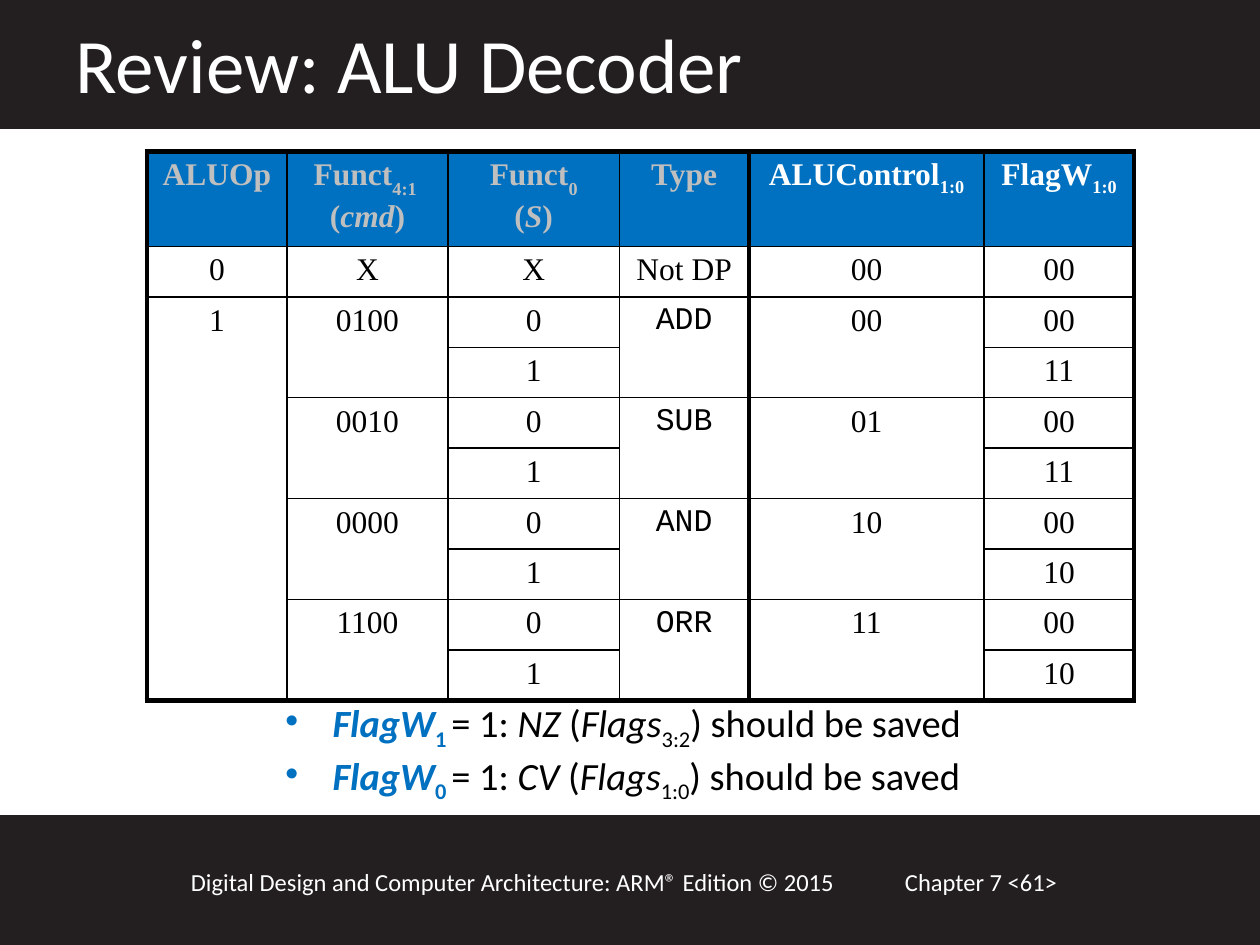
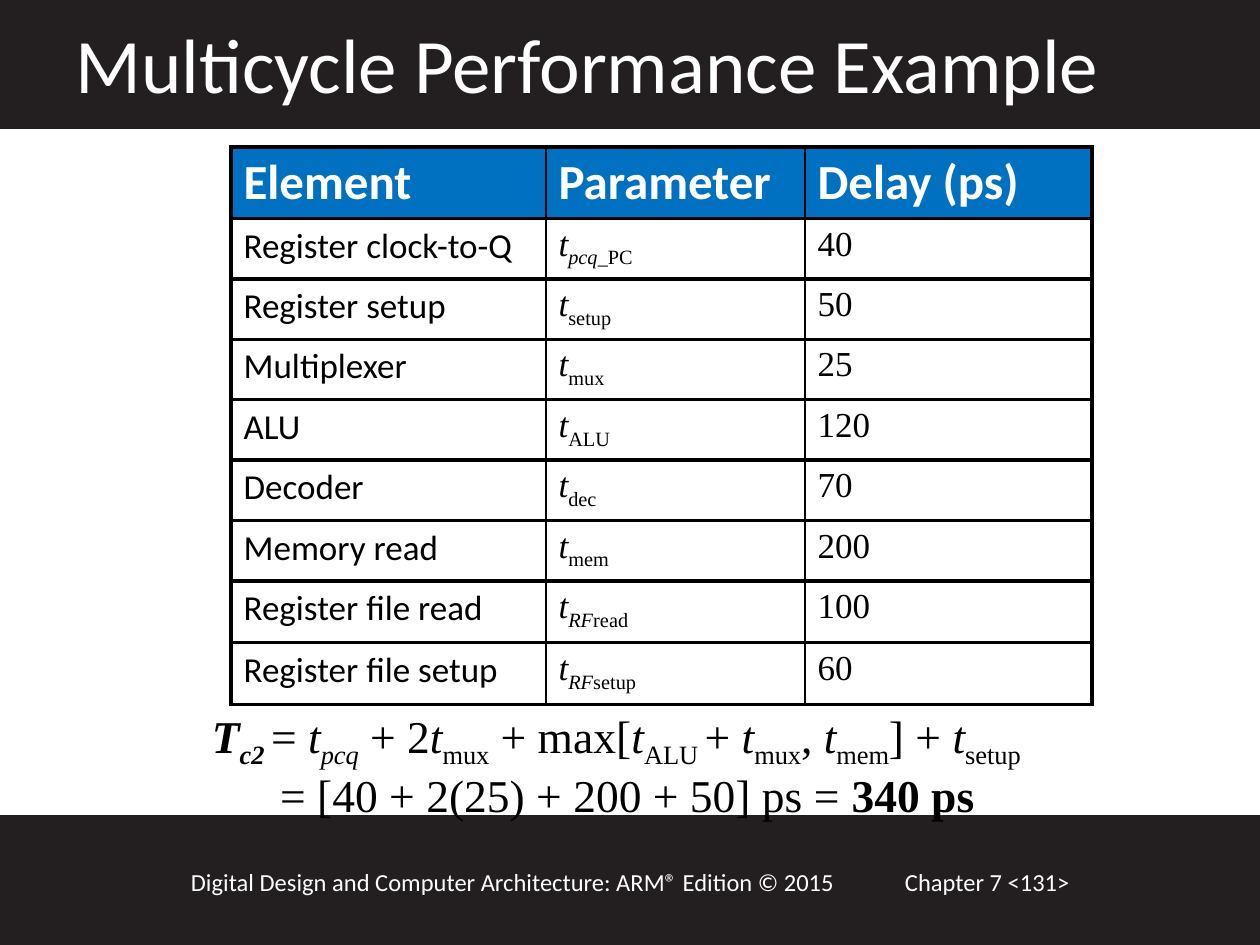
"""Build two lecture slides: the ALU decoder table and the multicycle delay table."""
from dataclasses import dataclass, replace
from typing import Optional

import lxml.etree
import pptx
import pptx.dml.color
import pptx.enum.shapes
import pptx.enum.text
import pptx.oxml.ns
import pptx.util

Pt = pptx.util.Pt
RGB = pptx.dml.color.RGBColor
qn = pptx.oxml.ns.qn
CENTER = pptx.enum.text.PP_ALIGN.CENTER

WHITE = RGB(0xFF, 0xFF, 0xFF)
BLACK = RGB(0, 0, 0)
DARK = RGB(0x23, 0x1F, 0x20)
BLUE = RGB(0, 0x70, 0xC0)
GREY = RGB(0xBF, 0xBF, 0xBF)
DROPS = {"s": "-25000", "d": "-30000"}


@dataclass(frozen=True)
class Style:
    font: str
    size: float
    color: RGB = BLACK
    bold: bool = False


@dataclass(frozen=True)
class Run:
    """Text whose look holds b (bold), i (italic), s or d (subscript)."""
    text: str
    look: str = ""
    color: Optional[RGB] = None


@dataclass(frozen=True)
class Para:
    runs: tuple[Run, ...]
    style: Style
    center: bool = False
    left: float = 0
    hang: float = 0
    bullet: bool = False
    before: float = 0
    pitch: Optional[float] = None


@dataclass(frozen=True)
class Box:
    left: float
    top: float
    width: float
    height: float


@dataclass(frozen=True)
class Grid:
    """A table; the numbered edges in cols_bold and rows_bold are thick."""
    left: float
    top: float
    widths: list[float]
    heights: list[float]
    cells: list[list[Optional[list[Para]]]]
    thick: float
    cols_bold: set[int]
    rows_bold: set[int]


TITLE = Style("Calibri", 44, WHITE)
FOOT = Style("Calibri", 14, WHITE)
NOTE = Style("Calibri", 22)
MATH = Style("Times New Roman", 26)
BODY = Style("Times New Roman", 18)
CODE = Style("Courier New", 18)
LABEL = Style("Calibri", 20)
VALUE = Style("Times New Roman", 20)
HEAD = Style("Calibri", 28, WHITE, True)
GIVEN = Style("Times New Roman", 18, GREY, True)
RESULT = replace(GIVEN, color=WHITE)

BANDS = [Box(0, 466.5, 720, 73), Box(0, 0, 720, 73)]
BOOK = "Digital Design and Computer Architecture: ARM® Edition © 2015"


def plain(text: str, style: Style, center: bool = False) -> Para:
    return Para((Run(text),), style, center)


def term(name: str, sub: str, look: str = "s") -> tuple[Run, Run]:
    return Run(name, "i"), Run(sub, look)


def write(frame, paras: list[Para]) -> None:
    frame.word_wrap = True
    for num, para in enumerate(paras):
        item = frame.add_paragraph() if num else frame.paragraphs[0]
        props = item._p.get_or_add_pPr()
        if para.left:
            props.set("marL", str(Pt(para.left)))
            props.set("indent", str(-Pt(para.hang)))
        if para.bullet:
            lxml.etree.SubElement(props, qn("a:buChar")).set("char", "•")
        if para.center:
            item.alignment = CENTER
        if para.before:
            item.space_before = Pt(para.before)
        if para.pitch:
            item.line_spacing = para.pitch
        for part in para.runs:
            run = item.add_run()
            run.text = part.text
            run.font.name = para.style.font
            run.font.size = Pt(para.style.size)
            run.font.color.rgb = part.color or para.style.color
            run.font.bold = para.style.bold or "b" in part.look
            run.font.italic = "i" in part.look
            for mark, drop in DROPS.items():
                if mark in part.look:
                    run._r.get_or_add_rPr().set("baseline", drop)


def add_text(slide, box: Box, paras: list[Para], inset: float = 3.6) -> None:
    shape = slide.shapes.add_textbox(
        Pt(box.left), Pt(box.top), Pt(box.width), Pt(box.height))
    shape.text_frame.margin_top = Pt(inset)
    write(shape.text_frame, paras)


def add_band(slide, box: Box) -> None:
    band = slide.shapes.add_shape(
        pptx.enum.shapes.MSO_SHAPE.RECTANGLE,
        Pt(box.left), Pt(box.top), Pt(box.width), Pt(box.height))
    band.shadow.inherit = False
    band.fill.solid()
    band.fill.fore_color.rgb = DARK
    band.line.color.rgb = DARK
    band.line.width = Pt(2)


def add_edge(cell, side: str, width: float) -> None:
    edge = lxml.etree.SubElement(
        cell._tc.get_or_add_tcPr(), qn(f"a:ln{side}"))
    edge.set("w", str(Pt(width)))
    fill = lxml.etree.SubElement(edge, qn("a:solidFill"))
    lxml.etree.SubElement(fill, qn("a:srgbClr")).set("val", str(BLACK))


def add_grid(slide, grid: Grid) -> None:
    rows, cols = len(grid.heights), len(grid.widths)
    table = slide.shapes.add_table(
        rows, cols, Pt(grid.left), Pt(grid.top),
        Pt(sum(grid.widths)), Pt(sum(grid.heights))).table
    table.first_row = table.horz_banding = False
    for col, width in zip(table.columns, grid.widths):
        col.width = Pt(width)
    for row, height in zip(table.rows, grid.heights):
        row.height = Pt(height)
    for y, line in enumerate(grid.cells):
        for x, paras in enumerate(line):
            if paras is None:
                continue
            end = y + 1
            while end < rows and grid.cells[end][x] is None:
                end += 1
            cell = table.cell(y, x)
            if end > y + 1:
                cell.merge(table.cell(end - 1, x))
            edges = [("L", x in grid.cols_bold), ("R", x + 1 in grid.cols_bold),
                     ("T", y in grid.rows_bold), ("B", end in grid.rows_bold)]
            for side, bold in edges:
                add_edge(cell, side, grid.thick if bold else 1)
            if y == 0:
                cell.fill.solid()
                cell.fill.fore_color.rgb = BLUE
            else:
                cell.fill.background()
            write(cell.text_frame, paras)


def add_page(deck, title: str, page: int):
    slide = deck.slides.add_slide(deck.slide_layouts[6])
    for band in BANDS:
        add_band(slide, band)
    add_text(slide, Box(510, 492, 156, 24.5),
             [plain(f"Chapter 7 <{page}>", FOOT)])
    add_text(slide, Box(102, 492, 414, 24.5), [plain(BOOK, FOOT)])
    add_text(slide, Box(36, 6, 624, 60.5), [plain(title, TITLE)])
    return slide


def funct(bits: str, field: str) -> list[Para]:
    return [Para((Run("Funct"), Run(bits, "d")), GIVEN, True),
            Para((Run("("), Run(field, "i"), Run(")")), GIVEN, True)]


def output(name: str) -> list[Para]:
    return [Para((Run(name), Run("1:0", "s")), RESULT, True)]


def mid(text: str, style: Style = BODY) -> list[Para]:
    return [plain(text, style, True)]


def flag_note(bit: str, pair: str, bits: str) -> Para:
    runs = (Run("FlagW", "bi", BLUE), Run(f"{bit} ", "bs", BLUE),
            Run("= 1: "), Run(pair, "i"), Run(" ("),
            *term("Flags", bits), Run(") should be saved"))
    return Para(runs, NOTE, left=63, hang=27, bullet=True)


def draw_alu(deck) -> None:
    slide = add_page(deck, "Review: ALU Decoder", 61)
    cells = [
        [mid("ALUOp", GIVEN), funct("4:1 ", "cmd"), funct("0", "S"),
         mid("Type", GIVEN), output("ALUControl"), output("FlagW")],
        [mid(text) for text in ("0", "X", "X", "Not DP", "00", "00")],
    ]
    codes = [("0100", "ADD", "00", "11"), ("0010", "SUB", "01", "11"),
             ("0000", "AND", "10", "10"), ("1100", "ORR", "11", "10")]
    for num, (cmd, kind, control, flags) in enumerate(codes):
        cells.append([None if num else mid("1"), mid(cmd), mid("0"),
                      mid(kind, CODE), mid(control), mid("00")])
        cells.append([None, None, mid("1"), None, None, mid(flags)])
    add_grid(slide, Grid(84, 86.4, [80, 92, 98, 74, 134.5, 85.5],
                         [54.4] + [28.8] * 9, cells, 3, {0, 4, 6}, {0, 10}))
    add_text(slide, Box(120, 396, 498, 87),
             [flag_note("1", "NZ", "3:2"), flag_note("0", "CV", "1:0")])


def draw_delay(deck) -> None:
    slide = add_page(deck, "Multicycle Performance Example", 131)
    runs = (Run("T", "bi"), Run("c2 ", "bis"), Run("= "),
            *term("t", "pcq", "is"), Run(" + 2"), *term("t", "mux"),
            Run(" + max["), *term("t", "ALU "), Run("+ "),
            *term("t", "mux"), Run(", "), *term("t", "mem"), Run("] + "),
            *term("t", "setup"))
    total = (Run("= [40 + 2(25) + 200 + 50] ps = "), Run("340 ps", "b"))
    add_text(slide, Box(114, 396, 546, 84),
             [Para(runs, MATH, left=27, hang=27, pitch=0.9),
              Para(total, MATH, left=39, before=5.2, pitch=0.9)], 8.8)
    delays = [
        ("Register clock-to-Q", "pcq", "_PC", 40),
        ("Register setup", "", "setup", 50),
        ("Multiplexer", "", "mux", 25),
        ("ALU", "", "ALU", 120),
        ("Decoder", "", "dec", 70),
        ("Memory read", "", "mem", 200),
        ("Register file read", "RF", "read", 100),
        ("Register file setup", "RF", "setup", 60),
    ]
    cells = [[[plain(text, HEAD)]
              for text in ("Element", "Parameter", "Delay (ps)")]]
    for label, slant, sub, delay in delays:
        lead = (Run(slant, "is"),) if slant else ()
        symbol = Para((Run("t", "i"), *lead, Run(sub, "s")), VALUE)
        cells.append([[plain(label, LABEL)], [symbol],
                      [plain(str(delay), VALUE)]])
    add_grid(slide, Grid(132, 84, [180, 148, 164],
                         [40.5] + [34.5] * 6 + [35.3] * 2,
                         cells, 2.25, {0, 3}, set(range(10))))


def main() -> None:
    deck = pptx.Presentation()
    deck.slide_width, deck.slide_height = Pt(720), Pt(540)
    draw_alu(deck)
    draw_delay(deck)
    deck.save("out.pptx")


if __name__ == "__main__":
    main()
